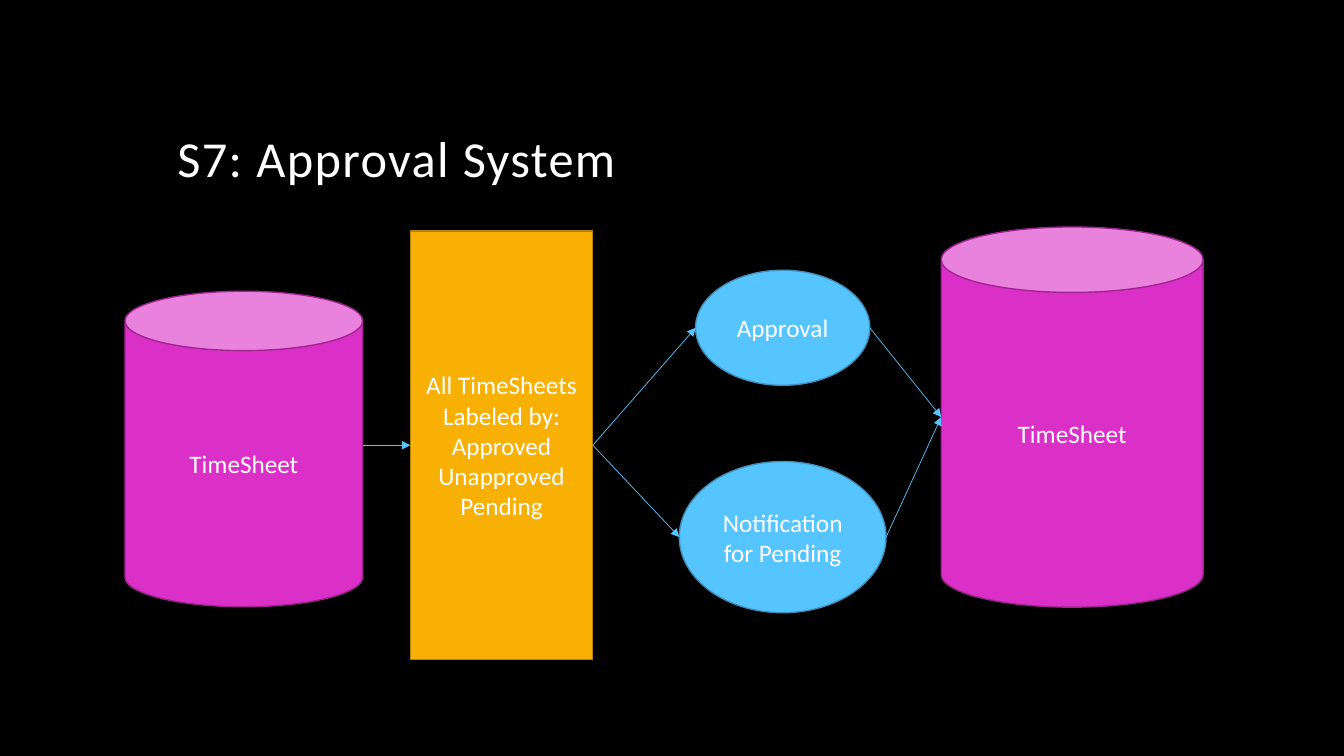
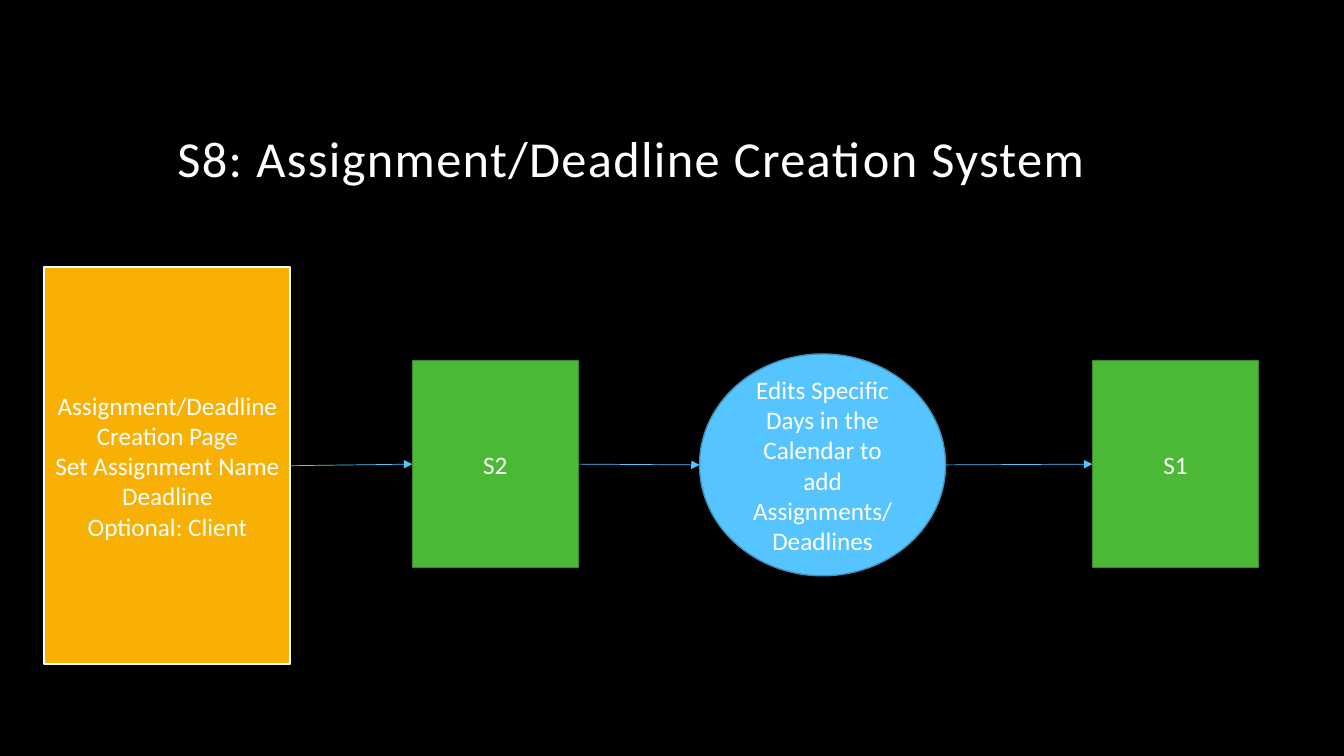
from collections import namedtuple

from lxml import etree
from pptx import Presentation
from pptx import util as u
from pptx.dml.color import RGBColor
from pptx.enum import shapes, text
from pptx.oxml import ns

FONT = "Calibri"
WHITE, BLACK, SKY = "FFFFFF", "000000", "56C5FF"

# Each kind of node: preset shape, fill, outline colour, outline width
Style = namedtuple("Style", "preset fill line width", defaults=[1])
PRESET = shapes.MSO_SHAPE
STORE = Style(PRESET.CAN, "DB30C7", "A22493")
FORM = Style(PRESET.RECTANGLE, "F8B004", "B78203")
START_FORM = Style(PRESET.RECTANGLE, "F8B004", WHITE, 1.5)
SYSTEM = Style(PRESET.RECTANGLE, "4BB836", "378828")
ACTION = Style(PRESET.OVAL, SKY, "4092BD")

LEFT_SIDE, RIGHT_SIDE = 1, 3


def colour(hex_code):
    return RGBColor.from_string(hex_code)


def write(frame, lines, size=18, align=text.PP_ALIGN.CENTER,
          anchor=text.MSO_ANCHOR.MIDDLE, line_spacing=None, tracking=None):
    """Fill a text frame with one paragraph per line."""
    frame.word_wrap = True
    frame.vertical_anchor = anchor
    for number, line in enumerate(lines):
        para = frame.add_paragraph() if number else frame.paragraphs[0]
        para.alignment = align
        para.line_spacing = line_spacing
        span = para.add_run()
        span.text = line
        span.font.name = FONT
        span.font.size = u.Pt(size)
        span.font.color.rgb = colour(WHITE)
        if tracking:
            span.font._element.set("spc", str(tracking * 100))


def add_node(page, style, box, *lines):
    node = page.shapes.add_shape(style.preset, *map(u.Cm, box))
    node.shadow.inherit = False
    node.fill.solid()
    node.fill.fore_color.rgb = colour(style.fill)
    node.line.color.rgb = colour(style.line)
    node.line.width = u.Pt(style.width)
    write(node.text_frame, lines)
    return node


def add_arrow(page, source, target):
    """Arrow from the right side of source to the left side of target."""
    source_y = source.top + source.height // 2
    target_y = target.top + target.height // 2
    # A can is met level with the form it feeds
    if source.auto_shape_type == PRESET.CAN:
        source_y = target_y
    arrow = page.shapes.add_connector(
        shapes.MSO_CONNECTOR.STRAIGHT,
        source.left + source.width, source_y, target.left, target_y)
    if source.auto_shape_type == PRESET.RECTANGLE:
        arrow.begin_connect(source, RIGHT_SIDE)
    if target.auto_shape_type == PRESET.RECTANGLE:
        arrow.end_connect(target, LEFT_SIDE)
    arrow.line.color.rgb = colour(SKY)
    arrow.line.width = u.Pt(0.5)
    # Arrowhead, and no shadow
    outline = arrow.line._get_or_add_ln()
    etree.SubElement(outline, ns.qn("a:tailEnd"), type="triangle")
    etree.SubElement(arrow._element.spPr, ns.qn("a:effectLst"))


def add_page(deck, title):
    page = deck.slides.add_slide(deck.slide_layouts[6])
    page.background.fill.solid()
    page.background.fill.fore_color.rgb = colour(BLACK)
    box = page.shapes.add_textbox(*map(u.Cm, (4.22, 1.07, 25.4, 3.81)))
    write(box.text_frame, [title], size=36, align=text.PP_ALIGN.LEFT,
          anchor=text.MSO_ANCHOR.BOTTOM, line_spacing=0.9, tracking=1)
    return page


def approval_flow(page, left, top):
    # Nodes
    sheets = add_node(page, STORE, (left, top + 1.62, 5.99, 7.95), "TimeSheet")
    labels = add_node(page, FORM, (left + 7.19, top + 0.1, 4.6, 10.8),
                      "All TimeSheets", "Labeled by:", "Approved",
                      "Unapproved", "Pending")
    approval = add_node(page, ACTION, (left + 14.38, top + 1.09, 4.39, 2.9),
                        "Approval")
    notice = add_node(page, ACTION, (left + 13.97, top + 5.91, 5.21, 3.81),
                      "Notification for Pending")
    result = add_node(page, STORE, (left + 20.57, top, 6.6, 9.58), "TimeSheet")
    # Arrows: both outcomes lead to the result
    add_arrow(page, sheets, labels)
    for outcome in (approval, notice):
        add_arrow(page, labels, outcome)
        add_arrow(page, outcome, result)


def creation_flow(page, left, top):
    # Nodes, from left to right
    chain = [
        add_node(page, START_FORM, (left, top, 6.2, 10.01),
                 "Assignment/Deadline Creation Page", "Set Assignment Name",
                 "Deadline", "Optional: Client"),
        add_node(page, SYSTEM, (left + 9.27, top + 2.36, 4.19, 5.21), "S2"),
        add_node(page, ACTION, (left + 16.51, top + 2.19, 6.2, 5.59),
                 "Edits Specific Days in the Calendar to add "
                 "Assignments/Deadlines"),
        add_node(page, SYSTEM, (left + 26.41, top + 2.36, 4.19, 5.21), "S1"),
    ]
    # Arrows between neighbours
    for source, target in zip(chain, chain[1:]):
        add_arrow(page, source, target)


def main():
    deck = Presentation()
    deck.slide_width, deck.slide_height = u.Cm(33.87), u.Cm(19.05)
    approval_flow(add_page(deck, "S7: Approval System"), 3.15, 5.72)
    creation_flow(add_page(deck, "S8: Assignment/Deadline Creation System"),
                  1.12, 6.73)
    deck.save("out.pptx")


if __name__ == "__main__":
    main()
